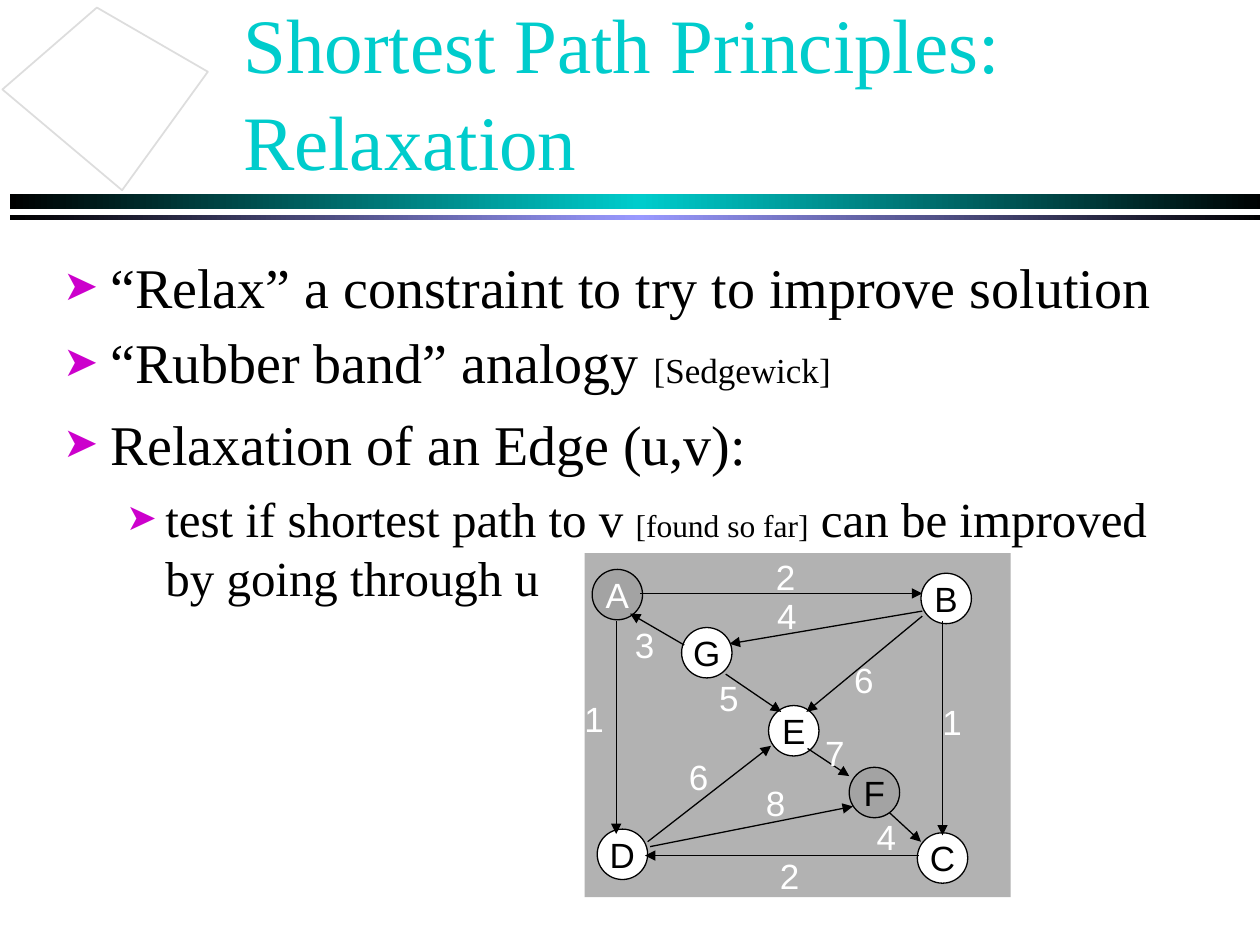
from dataclasses import dataclass
from pptx import Presentation
from pptx.dml.color import RGBColor as RGB
from pptx.enum.shapes import MSO_CONNECTOR as CONN, MSO_SHAPE as SHAPE
from pptx.enum.text import MSO_ANCHOR as ANCHOR, MSO_AUTO_SIZE as FIT, PP_ALIGN as ALIGN
from pptx.oxml import parse_xml
from pptx.oxml.ns import nsdecls
from pptx.util import Pt


@dataclass(frozen=True)
class Theme:
    serif: str = "Times New Roman"
    sans: str = "Arial"
    black: str = "000000"
    white: str = "FFFFFF"
    title: str = "00CCCC"
    accent: str = "9999FF"
    bullet: str = "CC00CC"
    outline: str = "DDDDDD"
    panel: str = "B2B2B2"
    marked: str = "969696"
    title_size: float = 44
    body_size: float = 32
    sub_size: float = 28
    cite_size: float = 20
    note_size: float = 18
    graph_size: float = 20


def add_run(p, text, *, size, color, font):
    r = p.add_run()
    r.text = text
    r.font.size, r.font.name = Pt(size), font
    r.font.color.rgb = RGB.from_string(color)
    return r


def xml(tag, attrs="", inner=""):
    return parse_xml(f"<a:{tag} {nsdecls('a')} {attrs}>{inner}</a:{tag}>")


class Deck:
    def __init__(self, slide, theme):
        self.slide, self.shapes, self.t = slide, slide.shapes, theme

    def style(self, sp, fill=None, line=None, width=0.75, alpha=None):
        sp.shadow.inherit = False
        if fill:
            sp.fill.solid()
            sp.fill.fore_color.rgb = RGB.from_string(fill)
            if alpha:
                clr = sp.fill._xPr.find(".//{*}srgbClr")
                clr.append(xml("alpha", f'val="{alpha * 1000}"'))
        if line:
            sp.line.color.rgb = RGB.from_string(line)
            sp.line.width = Pt(width)
        else:
            sp.line.fill.background()

    def shape(self, kind, x, y, w, h, **look):
        sp = self.shapes.add_shape(kind, Pt(x), Pt(y), Pt(w), Pt(h))
        self.style(sp, **look)
        return sp

    def gradient_bar(self, x, y, w, h, middle):
        sp = self.shape(SHAPE.RECTANGLE, x, y, w, h)
        stops = ((0, self.t.black), (50, middle), (100, self.t.black))
        gs = "".join(f'<a:gs pos="{pos * 1000}"><a:srgbClr val="{c}"/></a:gs>'
                     for pos, c in stops)
        geom = sp._element.spPr.find("{*}prstGeom")
        geom.addnext(xml("gradFill", 'rotWithShape="0"',
                         f'<a:gsLst>{gs}</a:gsLst><a:lin ang="10800000" scaled="1"/>'))

    def polygon(self, points, **look):
        pts = [(Pt(x), Pt(y)) for x, y in points]
        builder = self.shapes.build_freeform(*pts[0])
        builder.add_line_segments(pts[1:], close=True)
        self.style(builder.convert_to_shape(), **look)

    def placeholder(self, index, x, y, w, h, anchor):
        sp = self.slide.placeholders[index]
        sp.left, sp.top, sp.width, sp.height = Pt(x), Pt(y), Pt(w), Pt(h)
        sp._element.getparent().append(sp._element)  # bring to front
        tf = sp.text_frame
        tf.word_wrap, tf.auto_size, tf.vertical_anchor = True, FIT.NONE, anchor
        return tf

    def title(self, text, *box):
        p = self.placeholder(0, *box, ANCHOR.MIDDLE).paragraphs[0]
        p.alignment, p.line_spacing = ALIGN.LEFT, 1.05
        r = add_run(p, text, size=self.t.title_size, color=self.t.title, font=self.t.serif)
        shadow = xml("effectLst", "", '<a:outerShdw dist="25400" dir="2700000">'
                     f'<a:srgbClr val="{self.t.black}"/></a:outerShdw>')
        r.font._element.find("{*}solidFill").addnext(shadow)

    def bullets(self, items, *box):
        tf = self.placeholder(1, *box, ANCHOR.TOP)
        for i, (level, before, runs) in enumerate(items):
            p = tf.add_paragraph() if i else tf.paragraphs[0]
            p.level, p.space_before = level, Pt(before)
            left, hang = ((27, 27), (58.5, 22.5))[level]
            pPr = p._p.get_or_add_pPr()
            pPr.set("marL", str(Pt(left)))
            pPr.set("indent", str(-Pt(hang)))
            pPr.append(xml("buClr", "", f'<a:srgbClr val="{self.t.bullet}"/>'))
            pPr.append(xml("buSzPct", 'val="75000"'))
            pPr.append(xml("buChar", 'char="➤"'))
            for text, size in runs:
                add_run(p, text, size=size, color=self.t.black, font=self.t.serif)

    def node(self, name, x, y, marked=False, color=None):
        look = dict(fill=self.t.marked, alpha=50) if marked else dict(fill=self.t.white)
        sp = self.shape(SHAPE.OVAL, x, y, 28.8, 28.8, line=self.t.black, **look)
        tf = sp.text_frame
        tf.margin_left = tf.margin_right = tf.margin_top = tf.margin_bottom = 0
        tf.word_wrap, tf.vertical_anchor = False, ANCHOR.MIDDLE
        p = tf.paragraphs[0]
        p.alignment = ALIGN.CENTER
        add_run(p, name, size=self.t.graph_size, color=color or self.t.black, font=self.t.sans)

    def arrow(self, x1, y1, x2, y2):
        c = self.shapes.add_connector(CONN.STRAIGHT, Pt(x1), Pt(y1), Pt(x2), Pt(y2))
        c.line.color.rgb = RGB.from_string(self.t.black)
        c.line.width = Pt(0.75)
        c.line._get_or_add_ln().append(xml("tailEnd", 'type="triangle"'))
        c._element.spPr.append(xml("effectLst"))

    def label(self, text, x, y):
        tf = self.shapes.add_textbox(Pt(x), Pt(y), Pt(37.4), Pt(29.5)).text_frame
        tf.word_wrap = True
        add_run(tf.paragraphs[0], text, size=self.t.graph_size,
                color=self.t.white, font=self.t.sans)


def main():
    prs = Presentation()
    prs.slide_width, prs.slide_height = Pt(720), Pt(540)
    t = Theme()
    deck = Deck(prs.slides.add_slide(prs.slide_layouts[1]), t)

    # Header decoration
    deck.gradient_bar(5.8, 110.9, 719.3, 8.6, t.title)
    deck.gradient_bar(5.8, 123.1, 719.3, 2.9, t.accent)
    deck.polygon([(69.8, 108.7), (1.4, 51.1), (55.4, 4.3), (118.8, 41)],
                 fill=t.white, line=t.outline, width=1)

    # Graph panel, title and list
    deck.shape(SHAPE.RECTANGLE, 334.1, 316.1, 243.4, 196.6, fill=t.panel)
    deck.title("Shortest Path Principles: Relaxation", 131.8, 5.8, 612, 90)
    deck.bullets([
        (0, 0, [("“Relax” a constraint to try to improve solution", t.body_size)]),
        (0, 5, [("“Rubber band” analogy ", t.body_size), ("[Sedgewick]", t.cite_size)]),
        (0, 8, [("Relaxation of an Edge (u,v):", t.body_size)]),
        (1, 7, [("test if shortest path to v ", t.sub_size),
                ("[found so far]", t.note_size),
                (" can be improved by going through u", t.sub_size)]),
    ], 28.8, 140.4, 663.1, 324)

    # Graph nodes
    deck.node("A", 338.4, 325.4, marked=True, color=t.white)
    deck.node("F", 485.3, 438.5, marked=True)
    for name, x, y in (("B", 526.3, 327.6), ("C", 524.2, 475.9), ("D", 341.3, 473.8),
                       ("E", 439.2, 403.2), ("G", 389.5, 358.6)):
        deck.node(name, x, y)

    # Directed edges: start, end, weight and its position
    edges = [
        (365.8, 339.1, 527, 339.1, "2", 436.3, 313.9),      # A to B
        (352.1, 355, 352.1, 476.6, "1", 326.9, 395.3),      # A to D
        (524.9, 488.9, 368.6, 488.9, "2", 438.5, 484.6),    # C to D
        (538.6, 355, 538.6, 477.4, "1", 531.4, 396.7),      # B to C
        (527, 349.2, 416.9, 367.9, "4", 437, 336.2),        # B to G
        (527, 352.1, 460.8, 406.8, "6", 481, 373),          # B to E
        (370.1, 481, 440.6, 426.2, "6", 386.6, 428.4),      # D to E
        (371.5, 483.8, 487.4, 460.8, "8", 430.6, 442.8),    # D to F
        (391, 368.6, 360, 350.6, "3", 355.7, 352.8),        # G to A
        (414.7, 385.2, 446.4, 406.8, "5", 403.9, 383),      # G to E
        (461.5, 427.7, 485.3, 443.5, "7", 464.4, 414.7),    # E to F
        (508.3, 464.4, 526.3, 481, "4", 493.9, 462.2),      # F to C
    ]
    for *ends, _, _, _ in edges:
        deck.arrow(*ends)
    for *_, weight, x, y in edges:
        deck.label(weight, x, y)

    prs.save("out.pptx")


if __name__ == "__main__":
    main()
